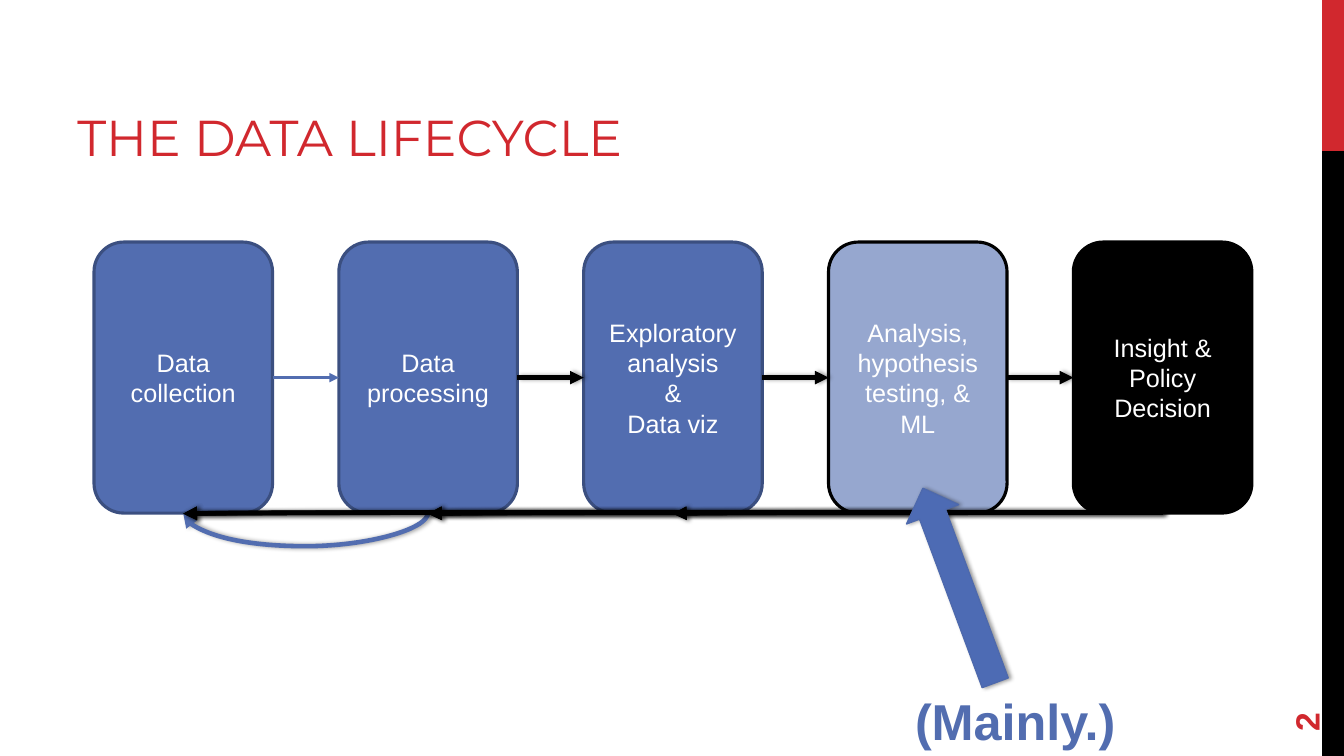
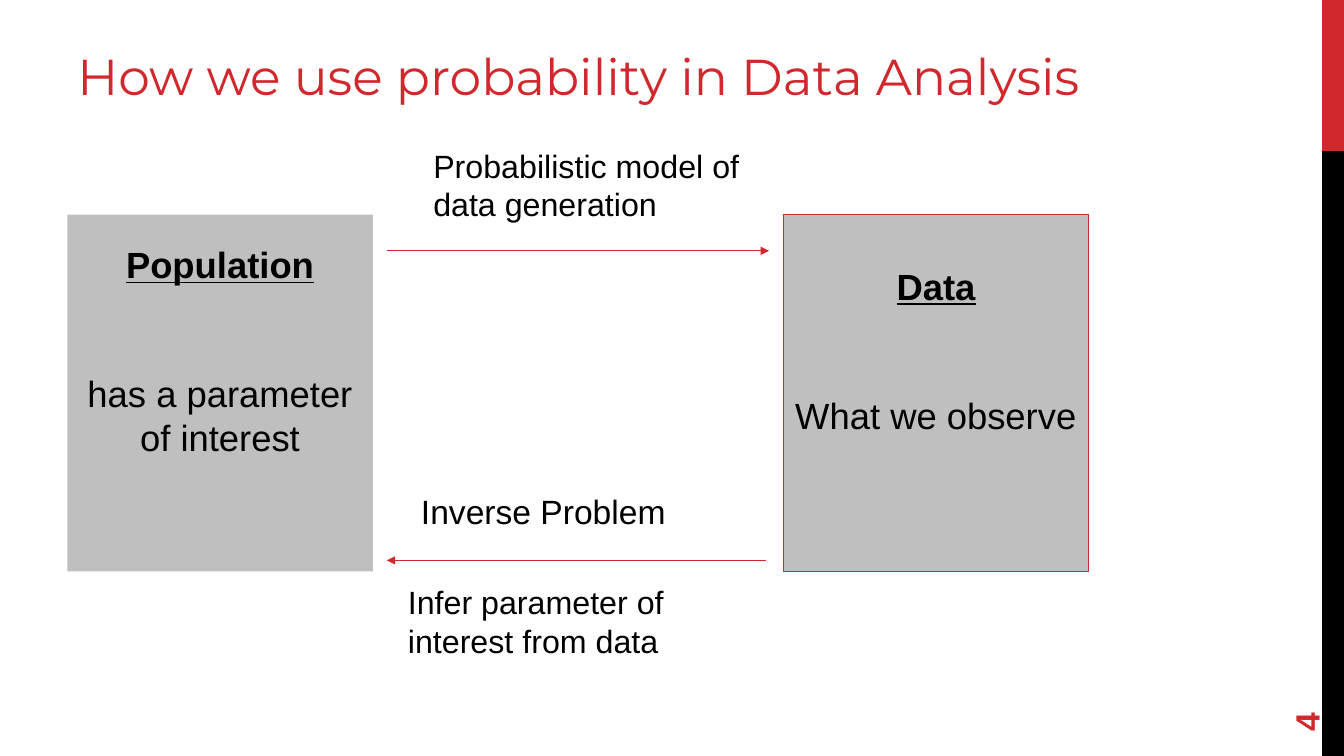
from dataclasses import dataclass
from typing import Optional

from lxml.etree import SubElement
from pptx import Presentation
from pptx.dml.color import RGBColor
from pptx.enum.shapes import MSO_CONNECTOR, MSO_SHAPE
from pptx.enum.text import MSO_ANCHOR, PP_ALIGN
from pptx.oxml.ns import qn
from pptx.shapes.autoshape import Shape
from pptx.shapes.connector import Connector
from pptx.slide import Slide
from pptx.util import Cm, Pt


@dataclass(frozen=True)
class Theme:
    red: str = "D1282E"
    black: str = "000000"
    white: str = "FFFFFF"
    blue: str = "526DB0"
    dark_blue: str = "3B4F80"
    light_blue: str = "96A7CF"
    pointer: str = "4D6BB4"
    pointer_edge: str = "4D69AD"
    gray: str = "BFBFBF"
    heading_font: str = "Montserrat"
    body_font: str = "Arial"
    title_size: float = 36
    number_size: float = 24
    step_size: float = 18
    panel_size: float = 26
    caption_size: float = 23
    inverse_size: float = 24


THEME = Theme()


@dataclass(frozen=True)
class Box:
    left: float
    top: float
    width: float
    height: float


@dataclass(frozen=True)
class Style:
    size: float
    color: str = THEME.black
    font: str = THEME.body_font
    bold: bool = False
    underline: bool = False
    align: PP_ALIGN = PP_ALIGN.LEFT


@dataclass(frozen=True)
class Step:
    text: str
    fill: str = THEME.blue
    edge: str = THEME.dark_blue
    link: str = THEME.black
    link_width: float = 3.25
    link_shadow: bool = True
    loop_depth: float = 0


@dataclass(frozen=True)
class Panel:
    left: float
    heading: str
    body: str
    edge: Optional[str] = None


@dataclass(frozen=True)
class Caption:
    box: Box
    text: str
    size: float = THEME.caption_size


STEPS = [
    Step("Data collection"),
    Step("Data processing", link=THEME.blue, link_width=2.25,
         link_shadow=False, loop_depth=0.85),
    Step("Exploratory analysis\n&\nData viz"),
    Step("Analysis, hypothesis testing, & ML", THEME.light_blue, THEME.black),
    Step("Insight & Policy Decision", THEME.black, THEME.black),
]
STEP_AREA = Box(2.37, 6.1, 4.5, 6.83)
STEP_PITCH = 6.17
LOOP_WIDTH = 3.25
LOOP_THICKNESS = 0.03

PANELS = [
    Panel(1.7, "Population", "has a parameter of interest"),
    Panel(19.74, "Data", "What we observe", THEME.red),
]
CAPTIONS = [
    Caption(Box(10.67, 3.43, 9.07, 2.49), "Probabilistic model of data generation"),
    Caption(Box(10.03, 14.43, 9.07, 2.49), "Infer parameter of interest from data"),
    Caption(Box(10.36, 12.12, 8.46, 1.55), "Inverse Problem", THEME.inverse_size),
]


def rgb(color: str) -> RGBColor:
    return RGBColor.from_string(color)


def write(shape: Shape, text: str, *styles: Style, anchor: MSO_ANCHOR = MSO_ANCHOR.TOP,
          margin: float = 0.13) -> None:
    frame = shape.text_frame
    frame.word_wrap = True
    frame.vertical_anchor = anchor
    frame.margin_left = frame.margin_right = Cm(0.25)
    frame.margin_top = frame.margin_bottom = Cm(margin)
    frame.text = text
    for index, paragraph in enumerate(frame.paragraphs):
        style = styles[min(index, len(styles) - 1)]
        paragraph.alignment = style.align
        font = paragraph.font
        font.name = style.font
        font.size = Pt(style.size)
        font.bold = style.bold
        font.underline = style.underline
        font.color.rgb = rgb(style.color)


def add_label(slide: Slide, box: Box, text: str, style: Style,
              anchor: MSO_ANCHOR = MSO_ANCHOR.TOP, margin: float = 0.13) -> Shape:
    label = slide.shapes.add_textbox(Cm(box.left), Cm(box.top), Cm(box.width), Cm(box.height))
    write(label, text, style, anchor=anchor, margin=margin)
    return label


def add_block(slide: Slide, kind: MSO_SHAPE, box: Box, fill: str,
              edge: Optional[str] = None, edge_width: float = 1) -> Shape:
    block = slide.shapes.add_shape(kind, Cm(box.left), Cm(box.top), Cm(box.width), Cm(box.height))
    block.shadow.inherit = False
    block.fill.solid()
    block.fill.fore_color.rgb = rgb(fill)
    if edge:
        block.line.color.rgb = rgb(edge)
        block.line.width = Pt(edge_width)
    else:
        block.line.fill.background()
    return block


def set_shadow(properties, visible: bool) -> None:
    effects = properties.find(qn("a:effectLst"))
    if effects is None:
        effects = SubElement(properties, qn("a:effectLst"))
    if visible:
        shadow = SubElement(effects, qn("a:outerShdw"), blurRad="40000", dist="23000",
                            dir="0", rotWithShape="0")
        tint = SubElement(shadow, qn("a:srgbClr"), val=THEME.black)
        SubElement(tint, qn("a:alpha"), val="40000")


def add_arrow(slide: Slide, kind: MSO_CONNECTOR, start: tuple[float, float],
              end: tuple[float, float], color: str, width: float,
              shadow: bool = False) -> Connector:
    arrow = slide.shapes.add_connector(kind, Cm(start[0]), Cm(start[1]), Cm(end[0]), Cm(end[1]))
    arrow.line.color.rgb = rgb(color)
    arrow.line.width = Pt(width)
    properties = arrow.element.spPr
    SubElement(properties.find(qn("a:ln")), qn("a:tailEnd"), type="triangle")
    set_shadow(properties, shadow)
    return arrow


def add_loop(slide: Slide, start_x: float, end_x: float, base: float, step: Step) -> None:
    middle = (start_x + end_x) / 2
    half_span = (start_x - end_x) / 2
    half_thickness = LOOP_THICKNESS / 2
    loop = add_arrow(slide, MSO_CONNECTOR.CURVE,
                     (middle - half_thickness, base - half_span),
                     (middle + half_thickness, base + half_span),
                     step.link, LOOP_WIDTH, True)
    properties = loop.element.spPr
    properties.find(qn("a:xfrm")).set("rot", "5400000")
    bend = round(step.loop_depth / LOOP_THICKNESS * 100000)
    adjustments = properties.find(qn("a:prstGeom")).find(qn("a:avLst"))
    SubElement(adjustments, qn("a:gd"), name="adj1", fmla=f"val {bend}")


def add_base(deck: Presentation, title: str, title_box: Box, number: int) -> Slide:
    slide = deck.slides.add_slide(deck.slide_layouts[6])
    add_block(slide, MSO_SHAPE.RECTANGLE, Box(33.32, 0, 0.55, 3.81), THEME.red)
    add_block(slide, MSO_SHAPE.RECTANGLE, Box(33.32, 3.81, 0.55, 15.24), THEME.black)
    add_label(slide, title_box, title,
              Style(THEME.title_size, THEME.red, THEME.heading_font),
              MSO_ANCHOR.BOTTOM, margin=0.05)
    page = add_label(slide, Box(31.09, 16.18, 3.66, 1.35), str(number),
                     Style(THEME.number_size, THEME.red, bold=True), MSO_ANCHOR.MIDDLE)
    page.rotation = 270
    return slide


def build_lifecycle(deck: Presentation) -> None:
    slide = add_base(deck, "THE DATA LIFECYCLE", Box(1.7, 0.43, 21.44, 3.81), 2)
    area = STEP_AREA
    lefts = [area.left + STEP_PITCH * index for index in range(len(STEPS))]
    centers = [left + area.width / 2 for left in lefts]
    middle = area.top + area.height / 2
    step_style = Style(THEME.step_size, THEME.white, align=PP_ALIGN.CENTER)
    previous = None
    for index, step in enumerate(STEPS):
        stage = add_block(slide, MSO_SHAPE.ROUNDED_RECTANGLE,
                          Box(lefts[index], area.top, area.width, area.height),
                          step.fill, step.edge, 2.25)
        write(stage, step.text, step_style, anchor=MSO_ANCHOR.MIDDLE)
        if previous is not None:
            link = add_arrow(slide, MSO_CONNECTOR.STRAIGHT,
                             (lefts[index - 1] + area.width, middle), (lefts[index], middle),
                             step.link, step.link_width, step.link_shadow)
            link.begin_connect(previous, 3)
            link.end_connect(stage, 1)
        for target in reversed(centers[:index]):
            add_loop(slide, centers[index], target, area.top + area.height, step)
        previous = stage

    pointer = add_block(slide, MSO_SHAPE.UP_ARROW, Box(23.47, 12.14, 1.4, 5.23),
                        THEME.pointer, THEME.pointer_edge)
    pointer.rotation = 339.6
    set_shadow(pointer.element.spPr, True)
    add_label(slide, Box(22.81, 17.25, 8.69, 1.8), "(Mainly.)",
              Style(THEME.title_size, THEME.blue, bold=True))


def build_probability(deck: Presentation) -> None:
    slide = add_base(deck, "How we use probability in Data Analysis",
                     Box(1.7, -1.09, 31.57, 3.81), 4)
    heading = Style(THEME.panel_size, bold=True, underline=True, align=PP_ALIGN.CENTER)
    body = Style(THEME.panel_size, align=PP_ALIGN.CENTER)
    for panel in PANELS:
        block = add_block(slide, MSO_SHAPE.RECTANGLE, Box(panel.left, 5.41, 7.7, 8.99),
                          THEME.gray, panel.edge, 0.75)
        write(block, f"{panel.heading}\n{panel.body}", heading, body,
              anchor=MSO_ANCHOR.MIDDLE, margin=0.25)
        block.text_frame.margin_bottom = Cm(2.4)
        block.text_frame.paragraphs[0].space_after = Pt(61)
    for start, end in [((9.75, 6.32), (19.38, 6.32)), ((19.3, 14.12), (9.75, 14.12))]:
        add_arrow(slide, MSO_CONNECTOR.STRAIGHT, start, end, THEME.red, 0.75)
    for caption in CAPTIONS:
        add_label(slide, caption.box, caption.text, Style(caption.size), margin=0.25)


def main() -> None:
    deck = Presentation()
    deck.slide_width = Cm(33.87)
    deck.slide_height = Cm(19.05)
    build_lifecycle(deck)
    build_probability(deck)
    deck.save("out.pptx")


if __name__ == "__main__":
    main()
